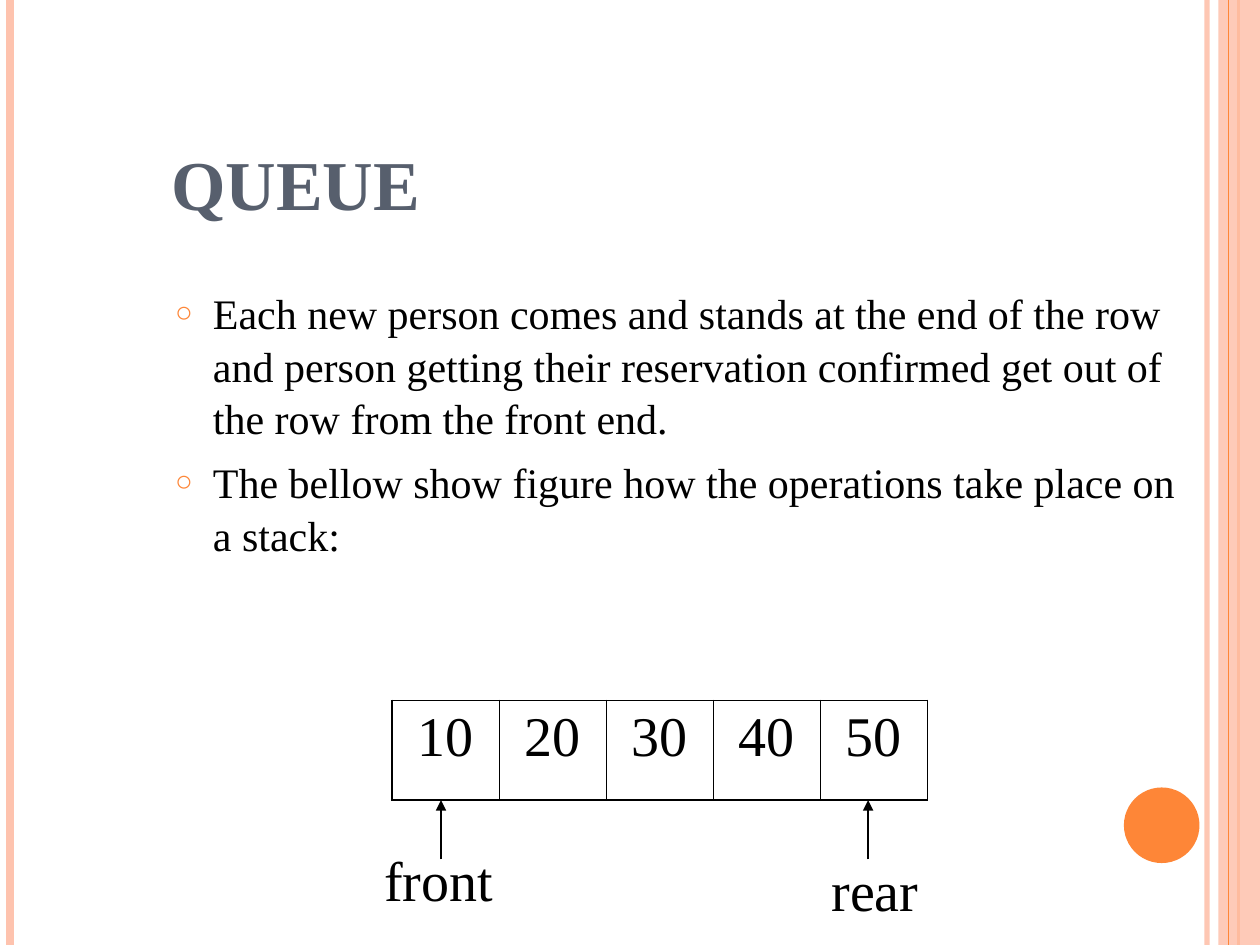
from lxml.etree import SubElement
from pptx import Presentation
from pptx.dml.color import RGBColor
from pptx.enum.shapes import MSO_CONNECTOR as Connector, MSO_SHAPE as Shape
from pptx.enum.text import MSO_ANCHOR as Anchor, MSO_AUTO_SIZE as AutoSize, PP_ALIGN as Align
from pptx.oxml.ns import qn
from pptx.util import Inches, Pt

# Content
TITLE = "QUEUE"
BULLETS = [
    "Each new person comes and stands at the end of the row and person getting "
    "their reservation confirmed get out of the row from the front end.",
    "The bellow show figure how the operations take place on a stack:",
]
QUEUE = ["10", "20", "30", "40", "50"]
# label, box (left, top, width, height), arrow x
POINTERS = [
    ("front", (2.95, 6.66, 1.1, 0.64), 3.5),
    ("rear", (6.5, 6.74, 0.94, 0.64), 6.89),
]

# Look
FONT = "Times New Roman"
ORANGE, PEACH, SLATE, BLACK = "FE8637", "FEC3AE", "575F6D", "000000"
LINES_BELOW = [(9.58, PEACH, 3, 93), (0.08, PEACH, 4.5, 100), (9.83, ORANGE, 1.5, 100)]
LINE_ABOVE = (9.75, ORANGE, 0.75, 100)
CELL_WIDTH, CELL_HEIGHT = 0.85, 0.79
TABLE_LEFT, TABLE_TOP = 3.11, 5.56
TABLE_BOTTOM = TABLE_TOP + CELL_HEIGHT
ARROW_START = 6.82
OUTER, INNER = 1.08, 0.45


def color(value):
    return RGBColor.from_string(value)


def inches(box):
    return [Inches(value) for value in box]


def set_alpha(element, percent):
    if percent < 100:
        fill = next(element.iter(qn("a:srgbClr")))
        SubElement(fill, qn("a:alpha"), val=str(percent * 1000))


def add_text(paragraph, text, size, hex_color=BLACK, bold=False, **layout):
    run = paragraph.add_run()
    run.text = text
    for name, value in {"name": FONT, "size": Pt(size), "bold": bold}.items():
        setattr(run.font, name, value)
    run.font.color.rgb = color(hex_color)
    for name, value in layout.items():
        setattr(paragraph, name, value)


def add_line(slide, start, end, hex_color, width, alpha=100, arrow=False):
    line = slide.shapes.add_connector(Connector.STRAIGHT, *inches(start + end))
    line.line.color.rgb = color(hex_color)
    line.line.width = Pt(width)
    properties = line._element.spPr
    set_alpha(properties, alpha)
    if arrow:
        SubElement(line.line._get_or_add_ln(), qn("a:tailEnd"), type="triangle")
    SubElement(properties, qn("a:effectLst"))


def add_vertical(slide, x, hex_color, width, alpha):
    add_line(slide, (x, 0), (x, 7.5), hex_color, width, alpha)


def add_shape(slide, kind, box, hex_color, alpha=100):
    shape = slide.shapes.add_shape(kind, *inches(box))
    shape.shadow.inherit = False
    shape.fill.solid()
    shape.fill.fore_color.rgb = color(hex_color)
    shape.line.fill.background()
    set_alpha(shape._element.spPr, alpha)


def place(shape, box, **frame_format):
    for name, value in zip(("left", "top", "width", "height"), inches(box)):
        setattr(shape, name, value)
    for name, value in frame_format.items():
        setattr(shape.text_frame, name, value)


def add_bullet(paragraph):
    properties = paragraph._p.get_or_add_pPr()
    properties.set("marL", str(Inches(0.3)))
    properties.set("indent", str(-Inches(0.3)))
    bullet_color = SubElement(properties, qn("a:buClr"))
    SubElement(bullet_color, qn("a:srgbClr"), val=ORANGE)
    SubElement(properties, qn("a:buSzPct"), val="70000")
    SubElement(properties, qn("a:buFont"), typeface=FONT)
    SubElement(properties, qn("a:buChar"), char="○")


def set_borders(cell, widths):
    properties = cell._tc.get_or_add_tcPr()
    for index, (side, width) in enumerate(widths.items()):
        border = properties.makeelement(qn(f"a:ln{side}"), {"w": str(Pt(width))})
        fill = SubElement(border, qn("a:solidFill"))
        SubElement(fill, qn("a:srgbClr"), val=BLACK)
        properties.insert(index, border)


def add_queue(slide):
    count = len(QUEUE)
    box = (TABLE_LEFT, TABLE_TOP, CELL_WIDTH * count, CELL_HEIGHT)
    table = slide.shapes.add_table(1, count, *inches(box)).table
    table.first_row = table.horz_banding = False
    for column, value in enumerate(QUEUE):
        cell = table.cell(0, column)
        cell.fill.background()
        add_text(cell.text_frame.paragraphs[0], value, 32,
                 alignment=Align.CENTER, space_before=Pt(8))
        set_borders(cell, {
            "L": OUTER if column == 0 else INNER,
            "R": OUTER if column == count - 1 else INNER,
            "T": OUTER,
            "B": OUTER,
        })


def main():
    presentation = Presentation()
    presentation.slide_width, presentation.slide_height = Inches(10), Inches(7.5)
    slide = presentation.slides.add_slide(presentation.slide_layouts[1])

    # Side bands and circle
    for line in LINES_BELOW:
        add_vertical(slide, *line)
    add_shape(slide, Shape.RECTANGLE, (9.67, 0, 0.33, 7.5), PEACH, 87)
    add_vertical(slide, *LINE_ABOVE)
    add_shape(slide, Shape.OVAL, (8.92, 6.25, 0.6, 0.6), ORANGE)

    # Title and bullets
    title, body = slide.shapes.title, slide.placeholders[1]
    place(title, (1.26, 0.23, 8.52, 1.6),
          vertical_anchor=Anchor.BOTTOM, auto_size=AutoSize.NONE)
    add_text(title.text_frame.paragraphs[0], TITLE, 40, SLATE, True, alignment=Align.LEFT)
    place(body, (1.29, 2.21, 8.19, 3.51), auto_size=AutoSize.NONE)
    for index, text in enumerate(BULLETS):
        frame = body.text_frame
        paragraph = frame.add_paragraph() if index else frame.paragraphs[0]
        add_text(paragraph, text, 24, space_before=Pt(6), line_spacing=1.05)
        add_bullet(paragraph)

    # Queue with its front and rear pointers
    add_queue(slide)
    for label, box, x in POINTERS:
        add_line(slide, (x, ARROW_START), (x, TABLE_BOTTOM), BLACK, 0.75, arrow=True)
        text_box = slide.shapes.add_textbox(*inches(box))
        text_box.text_frame.word_wrap = True
        add_text(text_box.text_frame.paragraphs[0], label, 32, space_before=Pt(20))

    presentation.save("out.pptx")


if __name__ == "__main__":
    main()
